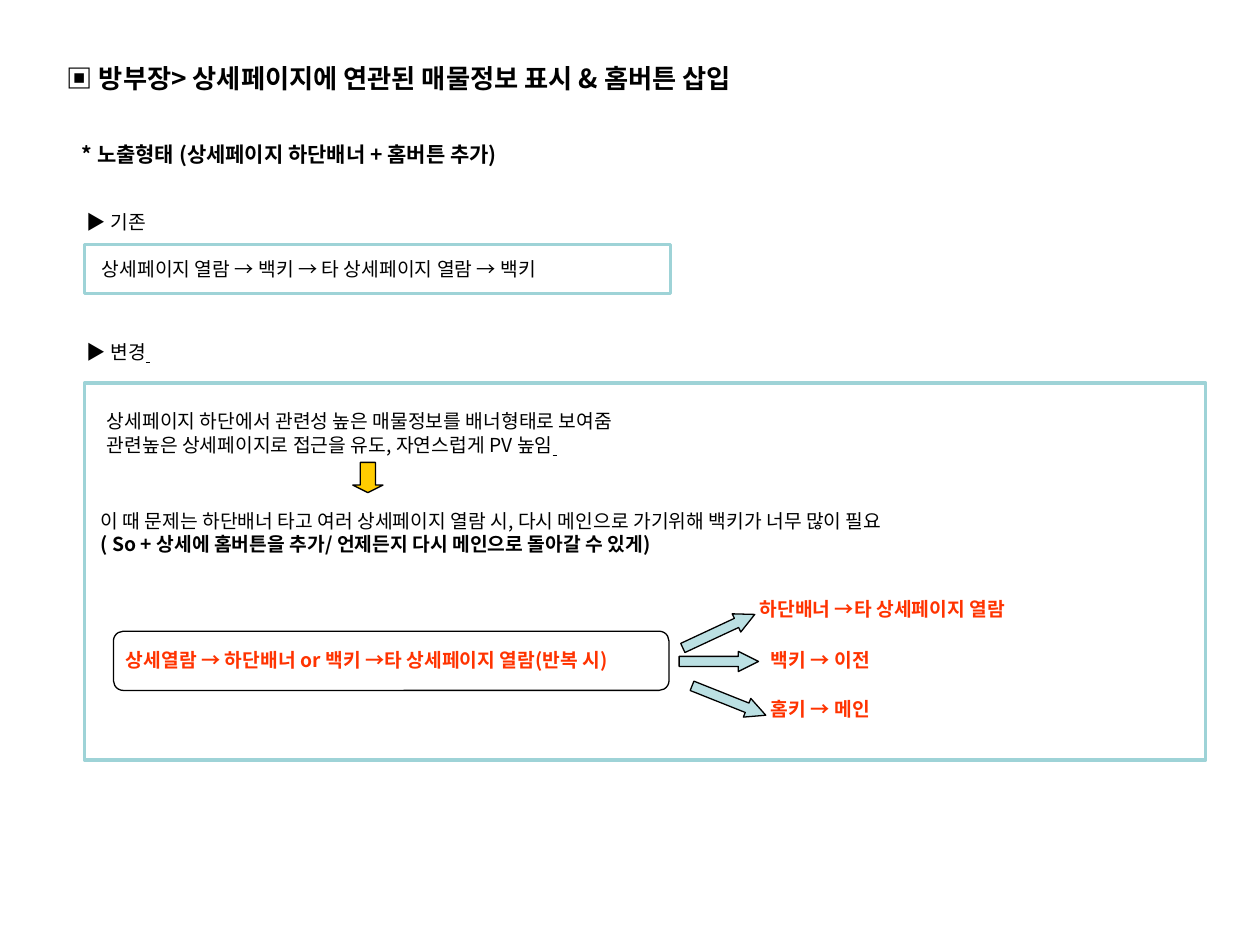
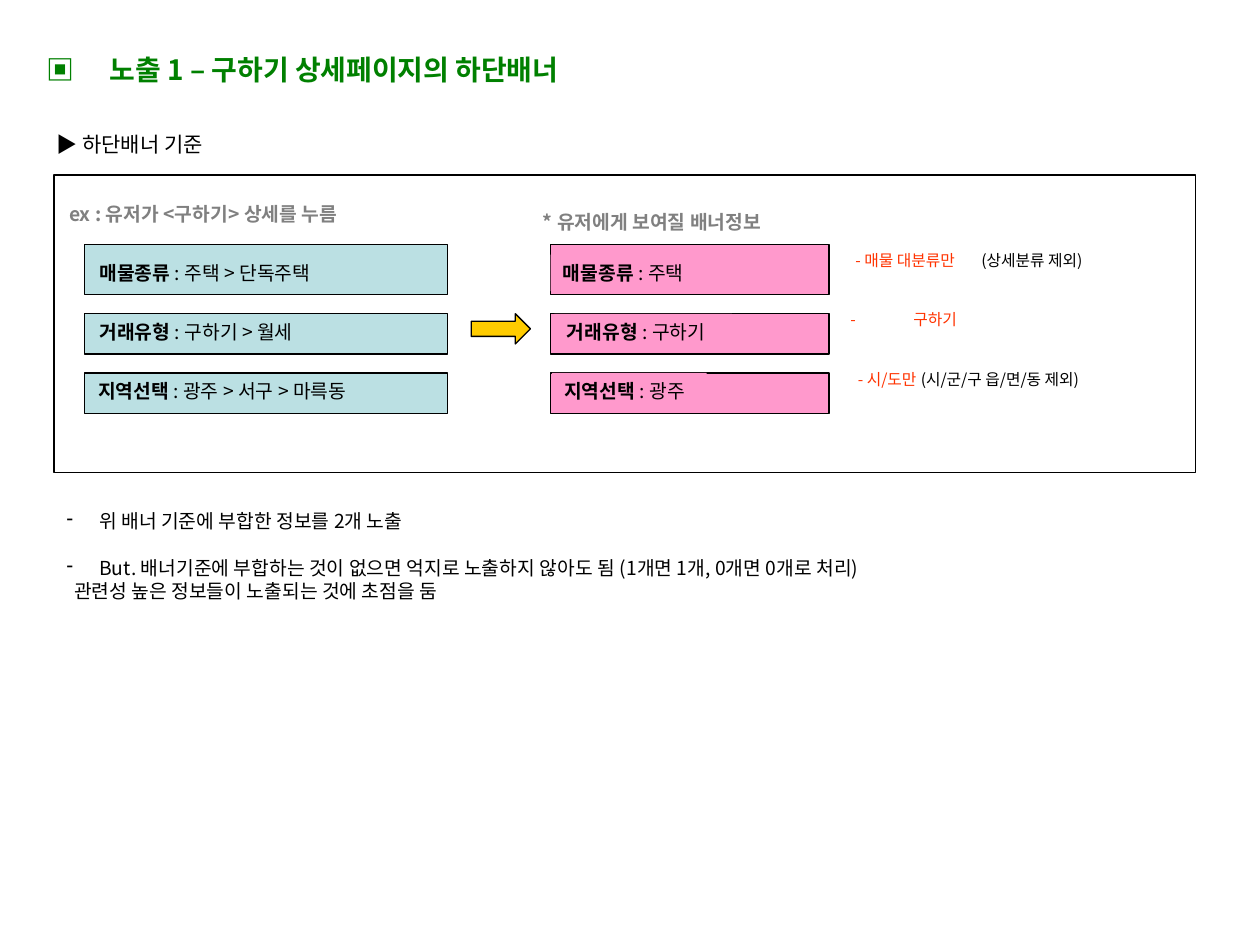
from dataclasses import dataclass
from typing import NamedTuple

from lxml import etree
from pptx import Presentation
from pptx import util as u
from pptx.dml import color
from pptx.enum import shapes, text
from pptx.oxml import ns

COLUMNS, ROWS = 100, 75
WIDTH, HEIGHT = u.Inches(10), u.Inches(7.5)
FONT = "Noto Sans CJK KR"
LINE_FACTOR = 1.22
BLACK, GREY, RED, GREEN = "000000", "808080", "FF3300", "008000"
TEAL, PALE_TEAL, PINK, AMBER = "9ED3D7", "BBE0E3", "FF99CC", "FFCC00"


class Area(NamedTuple):
    """Place on the slide in grid columns and rows."""
    left: float
    top: float
    width: float
    height: float


@dataclass
class Run:
    words: str
    bold: bool = False
    tint: str = BLACK
    underline: bool = False


@dataclass
class Line:
    runs: list[Run]
    indent: float = 0
    space_before: float = 0
    bullet: str = ""
    tab: float = 0


@dataclass
class Arrow:
    area: Area
    fill: str
    head: float
    angle: float = 0
    kind: shapes.MSO_SHAPE = shapes.MSO_SHAPE.RIGHT_ARROW


@dataclass
class BannerRow:
    """One criterion: what the user opened, what the banner shows, and a note."""
    name: str
    asked: str
    shown: str
    box_top: float
    box_height: float
    label_top: float
    asked_left: float
    label: tuple[float, float]
    note: Line
    note_at: tuple[float, float]


def rgb(value: str) -> color.RGBColor:
    return color.RGBColor.from_string(value)


def across(columns: float) -> int:
    return round(WIDTH * columns / COLUMNS)


def down(rows: float) -> int:
    return round(HEIGHT * rows / ROWS)


def set_values(target, values: dict) -> None:
    for name, value in values.items():
        setattr(target, name, value)


def place(shape, area: Area) -> None:
    set_values(shape, {"left": across(area.left), "top": down(area.top),
                       "width": across(area.width), "height": down(area.height)})


def add_element(parent, tag: str, **attributes: str):
    return etree.SubElement(parent, ns.qn(tag), attributes)


def write(shape, lines: list[Line], size: float) -> None:
    frame = shape.text_frame
    set_values(frame, {"word_wrap": True, "auto_size": text.MSO_AUTO_SIZE.NONE,
                       "vertical_anchor": text.MSO_ANCHOR.TOP,
                       "margin_left": u.Inches(0.1), "margin_right": 0,
                       "margin_top": u.Inches(0.05), "margin_bottom": u.Inches(0.05)})
    for index, line in enumerate(lines):
        paragraph = frame.add_paragraph() if index else frame.paragraphs[0]
        set_values(paragraph, {"alignment": text.PP_ALIGN.LEFT,
                               "line_spacing": u.Pt(round(size * LINE_FACTOR, 1)),
                               "space_before": u.Pt(line.space_before)})
        properties = paragraph._p.get_or_add_pPr()
        margin = across(line.indent)
        properties.set("marL", str(margin))
        properties.set("indent", str(-margin if line.bullet else 0))
        if line.bullet:
            add_element(properties, "a:buChar", char=line.bullet)
        if line.tab:
            stops = add_element(properties, "a:tabLst")
            add_element(stops, "a:tab", pos=str(across(line.tab)), algn="l")
        for part in line.runs:
            run = paragraph.add_run()
            run.text = part.words
            set_values(run.font, {"name": FONT, "size": u.Pt(size), "bold": part.bold,
                                  "underline": part.underline})
            run.font.color.rgb = rgb(part.tint)
            add_element(run._r.get_or_add_rPr(), "a:ea", typeface=FONT)


def add_text(slide, area: Area, lines: list[Line], size: float = 11, fill: str = "") -> None:
    shape = slide.shapes.add_textbox(0, 0, 0, 0)
    place(shape, area)
    if fill:
        shape.fill.solid()
        shape.fill.fore_color.rgb = rgb(fill)
    write(shape, lines, size)


def add_figure(slide, area: Area, fill: str = "", line: str = BLACK, weight: float = 0.75,
               kind: shapes.MSO_SHAPE = shapes.MSO_SHAPE.RECTANGLE):
    shape = slide.shapes.add_shape(kind, 0, 0, 0, 0)
    place(shape, area)
    shape.shadow.inherit = False
    if fill:
        shape.fill.solid()
        shape.fill.fore_color.rgb = rgb(fill)
    else:
        shape.fill.background()
    shape.line.color.rgb = rgb(line)
    shape.line.width = u.Pt(weight)
    return shape


def add_arrow(slide, arrow: Arrow) -> None:
    shape = add_figure(slide, arrow.area, arrow.fill, kind=arrow.kind)
    shape.adjustments[0], shape.adjustments[1] = 0.5, arrow.head
    shape.rotation = arrow.angle


def add_titled_slide(presentation, area: Area, title: Line, size: float):
    slide = presentation.slides.add_slide(presentation.slide_layouts.get_by_name("Title Only"))
    place(slide.shapes.title, area)
    write(slide.shapes.title, [title], size)
    return slide


def plain(words: str, **layout) -> Line:
    return Line([Run(words)], **layout)


def strong(words: str, tint: str = BLACK, **layout) -> Line:
    return Line([Run(words, True, tint)], **layout)


def build_flow_slide(presentation) -> None:
    title = strong("▣ 방부장> 상세페이지에 연관된 매물정보 표시 & 홈버튼 삽입")
    slide = add_titled_slide(presentation, Area(4.3, 4.4, 76.3, 4.8), title, 15)
    for frame in (Area(6.7, 30.4, 89, 29.9), Area(6.7, 19.4, 46.5, 3.9)):
        add_figure(slide, frame, line=TEAL, weight=2)
    add_figure(slide, Area(9, 50.1, 44.1, 4.7), kind=shapes.MSO_SHAPE.ROUNDED_RECTANGLE)

    add_text(slide, Area(5.5, 10.7, 45, 3),
             [strong("* 노출형태 (상세페이지 하단배너 + 홈버튼 추가)")], 12)
    add_text(slide, Area(5.9, 16.2, 76.4, 6.5), [
        plain("▶ 기존"),
        plain("상세페이지 열람 → 백키 → 타 상세페이지 열람 → 백키", indent=1.2, space_before=13.4)])
    add_text(slide, Area(5.9, 26.5, 50, 2.9),
             [Line([Run("▶ 변경"), Run(" ", underline=True)])])
    add_text(slide, Area(7.5, 32, 72.4, 4.7), [
        plain("상세페이지 하단에서 관련성 높은 매물정보를 배너형태로 보여줌"),
        Line([Run("관련높은 상세페이지로 접근을 유도, 자연스럽게 PV 높임"), Run(" ", underline=True)])])
    add_text(slide, Area(7, 39.9, 75, 4.7), [
        plain("이 때 문제는 하단배너 타고 여러 상세페이지 열람 시, 다시 메인으로 가기위해 백키가 너무 많이 필요"),
        strong("( So + 상세에 홈버튼을 추가/ 언제든지 다시 메인으로 돌아갈 수 있게)")])

    for left, top, words in (
            (9, 50.9, "상세열람 → 하단배너 or 백키 →타 상세페이지 열람(반복 시)"),
            (59.3, 46.9, "하단배너 →타 상세페이지 열람"),
            (60.2, 50.9, "백키 → 이전"),
            (60.2, 54.8, "홈키 → 메인")):
        add_text(slide, Area(left, top, 44.1 if left < 50 else 26, 2.9), [strong(words, RED)])

    add_arrow(slide, Arrow(Area(28, 36.7, 2.4, 2.4), AMBER, 0.25,
                           kind=shapes.MSO_SHAPE.DOWN_ARROW))
    for left, top, angle in ((53.9, 49.3, 335), (53.9, 51.7, 0), (54.7, 54.8, 21.7)):
        add_arrow(slide, Arrow(Area(left, top, 6.3, 1.6), PALE_TEAL, 1, angle))


BANNER_ROWS = [
    BannerRow("매물종류", "주택 > 단독주택", "주택", 19.4, 4, 20.2, 6.9, (43.7, 19.3),
              Line([Run("- 매물 대분류만\t", tint=RED), Run("(상세분류 제외)")], tab=10),
              (66.9, 19.4)),
    BannerRow("거래유형", "구하기 > 월세", "구하기", 24.9, 3.2, 24.9, 6.9, (44, 14.1),
              Line([Run("-\t구하기", tint=RED)], tab=1.3), (66.5, 24.1)),
    BannerRow("지역선택", "광주 > 서구 > 마륵동", "광주", 29.6, 3.2, 29.6, 6.8, (43.8, 12.3),
              Line([Run("- 시/도만\t", tint=RED), Run("(시/군/구 읍/면/동 제외)")], tab=9.2),
              (67.1, 28.8)),
]


def build_banner_slide(presentation) -> None:
    title = strong("▣\t노출 1 – 구하기 상세페이지의 하단배너", GREEN, tab=3.2)
    slide = add_titled_slide(presentation, Area(2.7, 3.6, 82.7, 3.7), title, 16)
    add_text(slide, Area(3.5, 9.9, 33.9, 3), [plain("▶ 하단배너 기준")], 12)
    add_figure(slide, Area(4.3, 13.9, 90.6, 23.6), weight=1)
    add_text(slide, Area(4.5, 15.5, 30, 2.9), [strong("ex : 유저가 <구하기> 상세를 누름", GREY)])
    add_text(slide, Area(42.1, 16.2, 25.2, 2.9), [strong("* 유저에게 보여질 배너정보", GREY)])

    for row in BANNER_ROWS:
        name = Run(f"{row.name} ", True)
        label_left, label_width = row.label
        add_figure(slide, Area(6.7, row.box_top, 28.8, row.box_height), PALE_TEAL)
        add_text(slide, Area(row.asked_left, row.label_top, 28, 2.9),
                 [Line([name, Run(f": {row.asked}")])])
        add_figure(slide, Area(43.7, row.box_top, 22.1, row.box_height), PINK)
        add_text(slide, Area(label_left, row.label_top, label_width, 2.9),
                 [Line([name, Run(f": {row.shown}")])], fill=PINK)
        add_text(slide, Area(*row.note_at, 25.3, 2.5), [row.note], 9)

    add_arrow(slide, Arrow(Area(37.4, 24.9, 4.7, 2.4), AMBER, 0.5))
    add_text(slide, Area(4.3, 39.9, 89, 8.6), [
        plain("위 배너 기준에 부합한 정보를 2개 노출", bullet="-", indent=2.6),
        plain("But. 배너기준에 부합하는 것이 없으면 억지로 노출하지 않아도 됨 (1개면 1개, 0개면 0개로 처리)",
              bullet="-", indent=2.6, space_before=13.4),
        plain("관련성 높은 정보들이 노출되는 것에 초점을 둠", indent=0.6)])


def main() -> None:
    presentation = Presentation()
    set_values(presentation, {"slide_width": WIDTH, "slide_height": HEIGHT})
    build_flow_slide(presentation)
    build_banner_slide(presentation)
    presentation.save("out.pptx")


if __name__ == "__main__":
    main()
